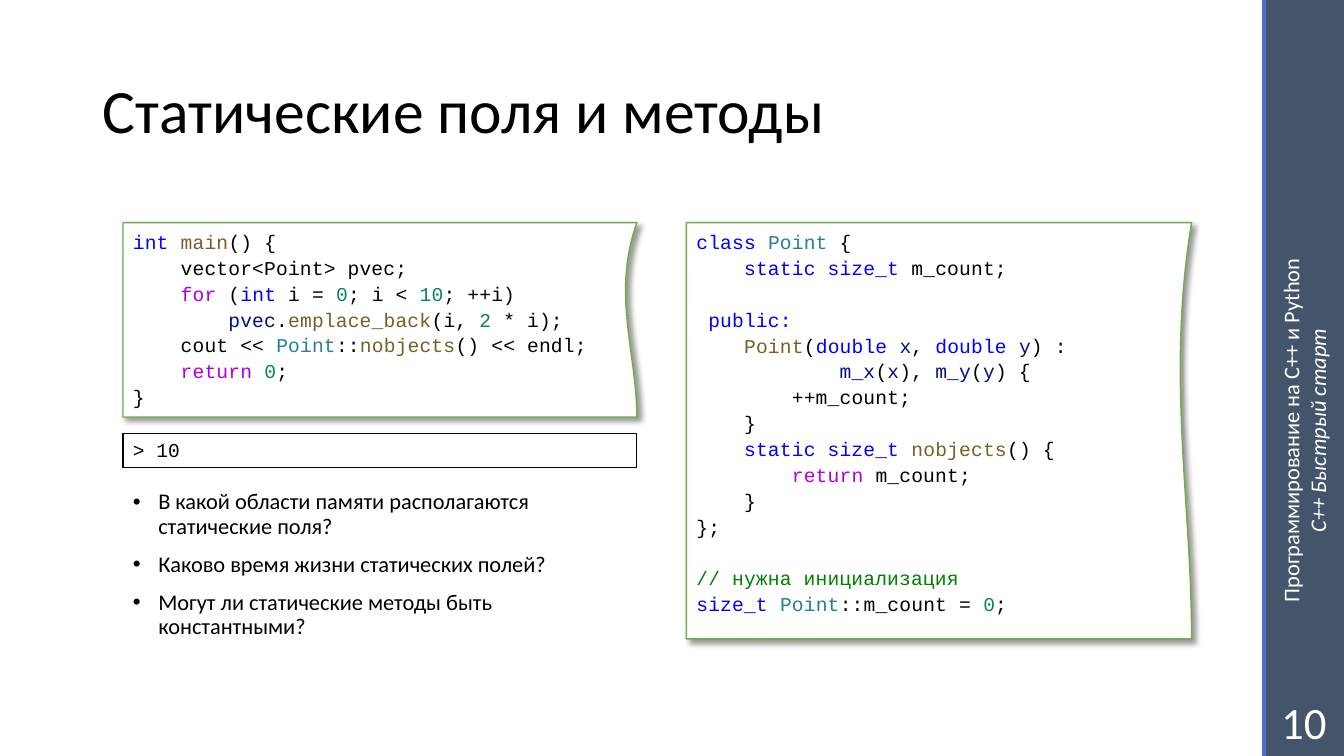
import pptx
import pptx.dml.color
import pptx.enum.shapes
import pptx.enum.text
import pptx.oxml
import pptx.oxml.ns
import pptx.util
from lxml import etree

Cm = pptx.util.Cm
Pt = pptx.util.Pt
ALIGN = pptx.enum.text.PP_ALIGN
ANCHOR = pptx.enum.text.MSO_ANCHOR
SHAPE = pptx.enum.shapes.MSO_SHAPE
qn = pptx.oxml.ns.qn

BLACK, WHITE = "000000", "FFFFFF"
KEYWORD, CONTROL, TYPE = "0000FF", "AF00DB", "267F99"
FUNCTION, VARIABLE, NUMBER, REMARK = "795E26", "001080", "098658", "008000"

LEFT, CODE_TOP, LEFT_WIDTH = 3.1, 5.61, 12.95
BAR_LEFT, BAR_WIDTH = 31.85, 2.02
CHARACTER = 8.53  # points per character of code
CODE_LINE = 18.5  # points per line of code

# Each line of code: indent in characters, blank lines before, coloured pieces
MAIN_CODE = [
    (0, 0, [("int ", KEYWORD), ("main", FUNCTION), ("() {", BLACK)]),
    (4, 0, [("vector<Point> pvec;", BLACK)]),
    (4, 0, [("for", CONTROL), (" (", BLACK), ("int", KEYWORD), (" i = ", BLACK),
            ("0", NUMBER), ("; i < ", BLACK), ("10", NUMBER), ("; ++i)", BLACK)]),
    (8, 0, [("pvec", VARIABLE), (".", BLACK), ("emplace_back", FUNCTION),
            ("(i, ", BLACK), ("2 ", NUMBER), ("* i);", BLACK)]),
    (4, 0, [("cout << ", BLACK), ("Point", TYPE), ("::", BLACK),
            ("nobjects", FUNCTION), ("() << endl;", BLACK)]),
    (4, 0, [("return ", CONTROL), ("0", NUMBER), (";", BLACK)]),
    (0, 0, [("}", BLACK)]),
]
CLASS_CODE = [
    (0, 0, [("class ", KEYWORD), ("Point", TYPE), (" {", BLACK)]),
    (4, 0, [("static size_t ", KEYWORD), ("m_count;", BLACK)]),
    (1, 1, [("public:", KEYWORD)]),
    (4, 0, [("Point", FUNCTION), ("(", BLACK), ("double ", KEYWORD),
            ("x", VARIABLE), (", ", BLACK), ("double ", KEYWORD),
            ("y", VARIABLE), (") :", BLACK)]),
    (12, 0, [("m_x", VARIABLE), ("(", BLACK), ("x", VARIABLE), ("), ", BLACK),
             ("m_y", VARIABLE), ("(", BLACK), ("y", VARIABLE), (") {", BLACK)]),
    (8, 0, [("++m_count;", BLACK)]),
    (4, 0, [("}", BLACK)]),
    (4, 0, [("static size_t ", KEYWORD), ("nobjects", FUNCTION), ("() {", BLACK)]),
    (8, 0, [("return ", CONTROL), ("m_count;", BLACK)]),
    (4, 0, [("}", BLACK)]),
    (0, 0, [("};", BLACK)]),
    (0, 1, [("// нужна инициализация", REMARK)]),
    (0, 0, [("size_t ", KEYWORD), ("Point", TYPE), ("::m_count = ", BLACK),
            ("0", NUMBER), (";", BLACK)]),
]
QUESTIONS = [
    "В какой области памяти располагаются статические поля?",
    "Каково время жизни статических полей?",
    "Могут ли статические методы быть константными?",
]


def color(value):
    return pptx.dml.color.RGBColor.from_string(value)


def add_span(para, text, size, value=BLACK, font="Calibri", italic=None):
    span = para.add_run()
    span.text = text
    span.font.size = Pt(size)
    span.font.name = font
    span.font.italic = italic
    span.font.color.rgb = color(value)
    return span


def add_para(frame, number, align=ALIGN.LEFT, spacing=None):
    para = frame.add_paragraph() if number else frame.paragraphs[0]
    para.alignment = align
    para.line_spacing = spacing
    return para


def set_indent(para, left, first=0):
    properties = para._p.get_or_add_pPr()
    properties.set("marL", str(int(left)))
    properties.set("indent", str(int(first)))
    return properties


def add_text_box(page, left, top, width, height, anchor=ANCHOR.TOP):
    box = page.shapes.add_textbox(Cm(left), Cm(top), Cm(width), Cm(height))
    box.text_frame.word_wrap = True
    box.text_frame.vertical_anchor = anchor
    return box


def paint(shape, fill, line=None):
    shape.shadow.inherit = False
    shape.fill.solid()
    shape.fill.fore_color.rgb = color(fill)
    if line:
        shape.line.color.rgb = color(line)
        shape.line.width = Pt(1)
    else:
        shape.line.fill.background()
    shape.text_frame.vertical_anchor = ANCHOR.TOP
    shape.text_frame.word_wrap = True


def add_rectangle(page, left, top, width, height, fill, line=None):
    shape = page.shapes.add_shape(SHAPE.RECTANGLE, Cm(left), Cm(top), Cm(width), Cm(height))
    paint(shape, fill, line)
    return shape


def add_sheet(page, left, top, width, height):
    """White sheet whose right edge is a curve."""
    w, h = Cm(width), Cm(height)
    builder = page.shapes.build_freeform(0, 0)
    builder.add_line_segments([(w, 0), (w, h), (0, h)], close=True)
    sheet = builder.convert_to_shape(Cm(left), Cm(top))
    paint(sheet, WHITE, "70AD47")

    # Right edge
    edge = sheet._element.findall(".//" + qn("a:lnTo"))[1]
    curve = etree.Element(qn("a:cubicBezTo"))
    for x, y in [(w - Cm(0.64), h * 0.37), (w, h * 0.67), (w, h)]:
        etree.SubElement(curve, qn("a:pt"), x=str(int(x)), y=str(int(y)))
    edge.getparent().replace(edge, curve)

    # Soft shadow
    effects = sheet._element.spPr.find(qn("a:effectLst"))
    shadow = etree.SubElement(effects, qn("a:outerShdw"), blurRad=str(Pt(4)), dist=str(Pt(3)),
                              dir="2700000", algn="tl", rotWithShape="0")
    shade = etree.SubElement(shadow, qn("a:srgbClr"), val=BLACK)
    etree.SubElement(shade, qn("a:alpha"), val="40000")
    return sheet


def add_code(page, left, width, height, lines):
    frame = add_sheet(page, left, CODE_TOP, width, height).text_frame
    for number, (indent, blanks, pieces) in enumerate(lines):
        para = add_para(frame, number, spacing=1.1)
        set_indent(para, Pt(indent * CHARACTER))
        if blanks:
            para.space_before = Pt(blanks * CODE_LINE)
        for text, value in pieces:
            span = add_span(para, text, 14, value, "Courier New")
            span.font._element.set("spc", "10")


def add_questions(page):
    frame = add_text_box(page, LEFT, 12.24, 13.16, 4.9).text_frame
    for number, question in enumerate(QUESTIONS):
        para = add_para(frame, number, spacing=0.9)
        para.space_before = Pt(10)
        properties = set_indent(para, Cm(0.64), -Cm(0.64))
        etree.SubElement(properties, qn("a:buFont"), typeface="Arial")
        etree.SubElement(properties, qn("a:buChar"), char="•")
        add_span(para, question, 16)


def add_side_bar(page):
    add_rectangle(page, BAR_LEFT, 0, BAR_WIDTH, 19.05, "44546A")
    edge = page.shapes.add_connector(pptx.enum.shapes.MSO_CONNECTOR.STRAIGHT,
                                     Cm(BAR_LEFT), 0, Cm(BAR_LEFT), Cm(19.05))
    edge.line.color.rgb = color("4472C4")
    edge.line.width = Pt(3)
    etree.SubElement(edge._element.spPr, qn("a:effectLst"))

    # Course name, read upwards
    course = add_text_box(page, 26.34, 10.03, 13.06, 1.63)
    course.rotation = 270
    para = add_para(course.text_frame, 0, ALIGN.CENTER)
    add_span(para, "Программирование на C++ и Python", 16, WHITE)
    para.add_line_break()
    add_span(para, "C++ Быстрый старт", 16, WHITE, italic=True)

    # Page number
    corner = add_text_box(page, BAR_LEFT, 17.3, BAR_WIDTH, 1.75, ANCHOR.MIDDLE)
    add_span(add_para(corner.text_frame, 0, ALIGN.CENTER), "10", 32, WHITE)


def main():
    deck = pptx.Presentation()
    deck.slide_width, deck.slide_height = Cm(33.87), Cm(19.05)
    page = deck.slides.add_slide(deck.slide_layouts[6])

    add_side_bar(page)

    # Title
    title = add_text_box(page, 2.34, 1.02, 28.42, 3.68, ANCHOR.MIDDLE)
    add_span(add_para(title.text_frame, 0, spacing=0.9), "Статические поля и методы", 44)

    # Questions and code
    add_questions(page)
    add_code(page, 17.3, 12.73, 10.49, CLASS_CODE)
    add_code(page, LEFT, LEFT_WIDTH, 4.9, MAIN_CODE)

    # Program output
    output = add_rectangle(page, LEFT, 10.92, LEFT_WIDTH, 0.86, WHITE, BLACK)
    add_span(add_para(output.text_frame, 0), "> 10", 14, font="Courier New")

    deck.save("out.pptx")


if __name__ == "__main__":
    main()
